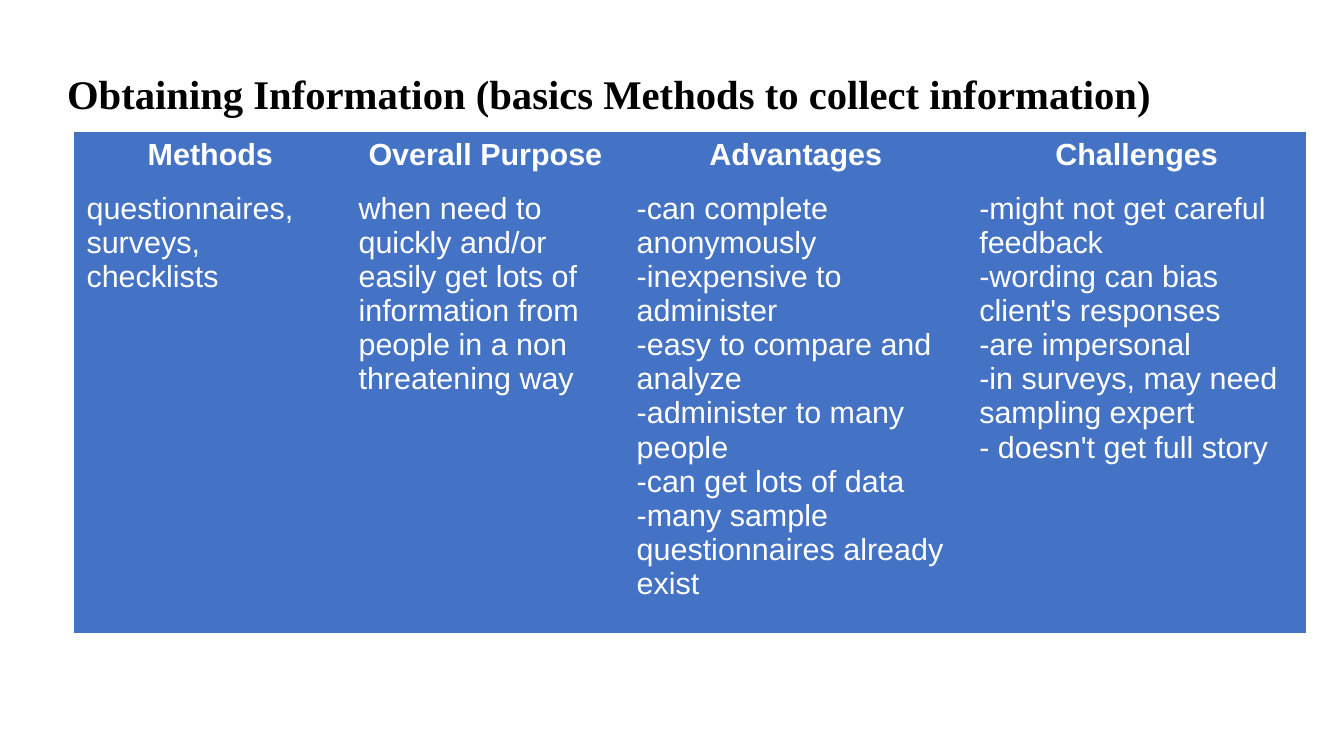
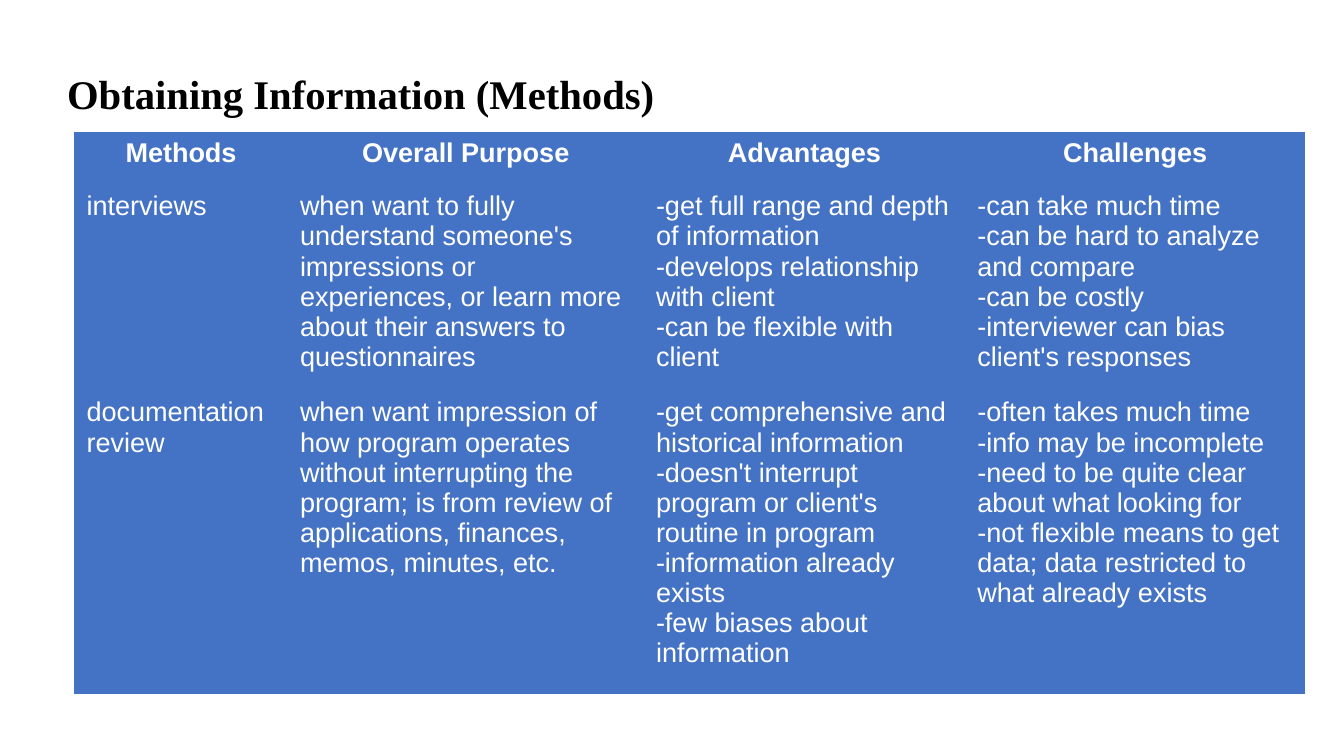
from dataclasses import dataclass

from lxml.etree import SubElement
from pptx import Presentation
from pptx.dml.color import RGBColor
from pptx.enum.text import MSO_ANCHOR, MSO_AUTO_SIZE, PP_ALIGN
from pptx.oxml.ns import qn
from pptx.util import Pt


@dataclass(frozen=True)
class Theme:
    title_font: str = "Times New Roman"
    table_font: str = "Arial"
    title_color: RGBColor = RGBColor(0x00, 0x00, 0x00)
    table_color: RGBColor = RGBColor(0xFF, 0xFF, 0xFF)
    table_fill: RGBColor = RGBColor(0x44, 0x72, 0xC4)
    title_size: int = 24


THEME = Theme()
SLIDE_SIZE = (793.44, 446.4)
TITLE_BOX = (39.6, 32.4, 668.9, 41)
TABLE_LEFT, TABLE_TOP = 43.92, 77.76
HEADINGS = ["Methods", "Overall Purpose", "Advantages", "Challenges"]

# Content: each method is a row, each cell a list of paragraphs
SLIDES = [
    {
        "title": "Obtaining Information (basics Methods to collect information)",
        "text_size": 18,
        "columns": [160.6, 164.2, 202.3, 200.2],
        "rows": [31.7, 264.2],
        "methods": [
            [
                ["questionnaires, surveys, checklists"],
                ["when need to quickly and/or easily get lots of information "
                 "from people in a non threatening way"],
                ["-can complete anonymously",
                 "-inexpensive to administer",
                 "-easy to compare and analyze",
                 "-administer to many people",
                 "-can get lots of data",
                 "-many sample questionnaires already exist"],
                ["-might not get careful feedback",
                 "-wording can bias client's responses",
                 "-are impersonal",
                 "-in surveys, may need sampling expert",
                 "- doesn't get full story"],
            ],
        ],
    },
    {
        "title": "Obtaining Information (Methods)",
        "text_size": 16,
        "columns": [126, 210.2, 189.7, 200.9],
        "rows": [31.7, 121.7, 178.6],
        "methods": [
            [
                ["interviews"],
                ["when want to fully understand someone's impressions or "
                 "experiences, or learn more about their answers to questionnaires"],
                ["-get full range and depth of information",
                 "-develops relationship with client",
                 "-can be flexible with client"],
                ["-can take much time",
                 "-can be hard to analyze and compare",
                 "-can be costly",
                 "-interviewer can bias client's responses"],
            ],
            [
                ["documentation review"],
                ["when want impression of how program operates without "
                 "interrupting the program; is from review of applications, "
                 "finances, memos, minutes, etc."],
                ["-get comprehensive and historical information",
                 "-doesn't interrupt program or client's routine in program",
                 "-information already exists",
                 "-few biases about information"],
                ["-often takes much time",
                 "-info may be incomplete",
                 "-need to be quite clear about what looking for",
                 "-not flexible means to get data; data restricted to what "
                 "already exists"],
            ],
        ],
    },
]


def write_text(frame, lines, *, font, size, color, bold=False,
               align=PP_ALIGN.LEFT, line_spacing=None, space_after=None):
    for index, line in enumerate(lines):
        paragraph = frame.paragraphs[0] if index == 0 else frame.add_paragraph()
        paragraph.alignment = align
        if line_spacing is not None:
            paragraph.line_spacing = line_spacing
        if space_after is not None:
            paragraph.space_after = Pt(space_after)
        run = paragraph.add_run()
        run.text = line
        run.font.name = font
        run.font.size = Pt(size)
        run.font.bold = bold
        run.font.color.rgb = color


def add_title(slide, text):
    title = slide.shapes.title
    title.left, title.top, title.width, title.height = map(Pt, TITLE_BOX)
    frame = title.text_frame
    frame.margin_left = frame.margin_top = frame.margin_right = frame.margin_bottom = 0
    frame.vertical_anchor = MSO_ANCHOR.MIDDLE
    frame.auto_size = MSO_AUTO_SIZE.NONE
    frame.word_wrap = True
    write_text(frame, [text], font=THEME.title_font, size=THEME.title_size,
               color=THEME.title_color, bold=True, align=PP_ALIGN.JUSTIFY,
               line_spacing=1.15, space_after=8)


def style_cell(cell):
    # Border elements come before the fill
    properties = cell._tc.get_or_add_tcPr()
    for side in ("a:lnL", "a:lnR", "a:lnT", "a:lnB"):
        border = SubElement(properties, qn(side), w="0")
        SubElement(border, qn("a:noFill"))
    cell.fill.solid()
    cell.fill.fore_color.rgb = THEME.table_fill


def add_methods_table(slide, content):
    columns, rows = content["columns"], content["rows"]
    table = slide.shapes.add_table(
        len(rows), len(columns), Pt(TABLE_LEFT), Pt(TABLE_TOP),
        Pt(sum(columns)), Pt(sum(rows))).table
    table.horz_banding = False
    for column, width in zip(table.columns, columns):
        column.width = Pt(width)
    for row, height in zip(table.rows, rows):
        row.height = Pt(height)

    header = [[heading] for heading in HEADINGS]
    for row_index, entries in enumerate([header, *content["methods"]]):
        is_header = row_index == 0
        for column_index, lines in enumerate(entries):
            cell = table.cell(row_index, column_index)
            style_cell(cell)
            write_text(cell.text_frame, lines, font=THEME.table_font,
                       size=content["text_size"], color=THEME.table_color,
                       bold=is_header,
                       align=PP_ALIGN.CENTER if is_header else PP_ALIGN.LEFT)


def main():
    deck = Presentation()
    deck.slide_width, deck.slide_height = map(Pt, SLIDE_SIZE)
    title_only = deck.slide_layouts[5]
    for content in SLIDES:
        slide = deck.slides.add_slide(title_only)
        add_title(slide, content["title"])
        add_methods_table(slide, content)
    deck.save("out.pptx")


if __name__ == "__main__":
    main()
